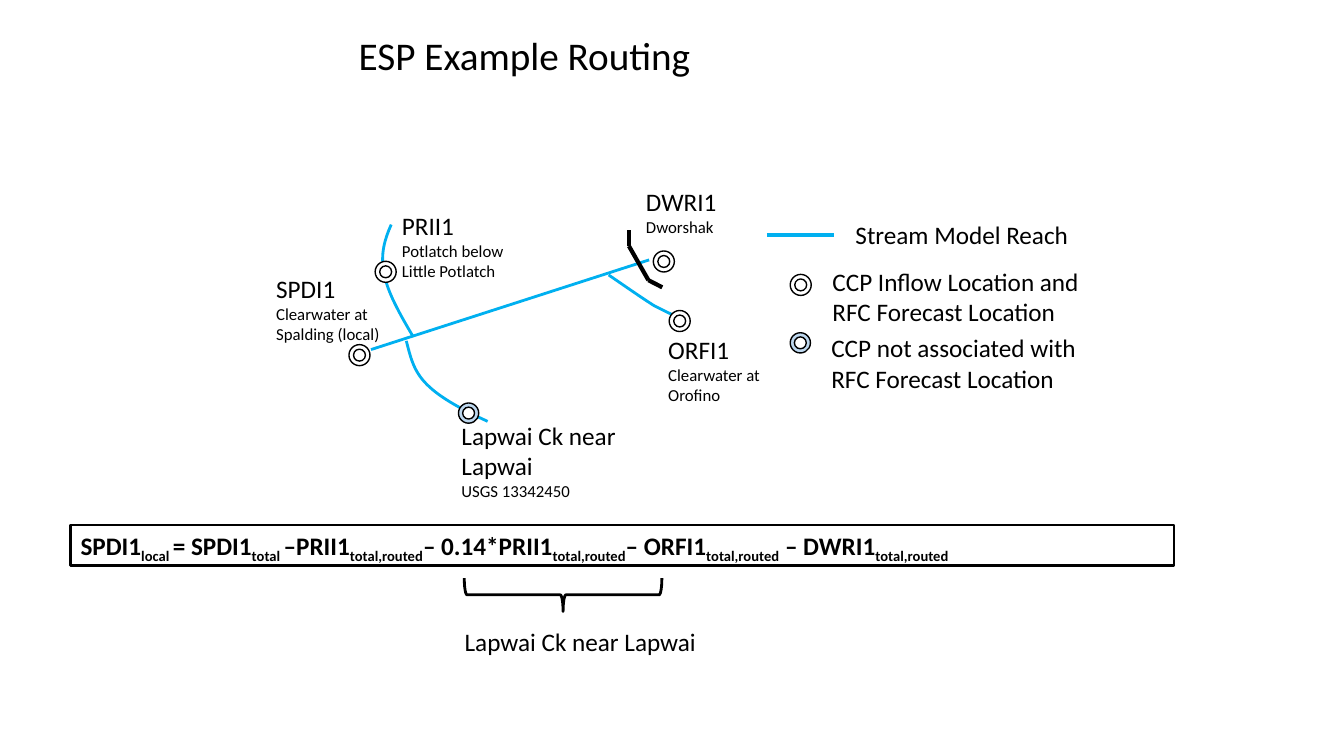
from itertools import pairwise

from pptx import Presentation
from pptx.dml.color import RGBColor
from pptx.enum.shapes import MSO_CONNECTOR, MSO_SHAPE
from pptx.enum.text import MSO_ANCHOR, MSO_AUTO_SIZE, PP_ALIGN
from pptx.oxml.ns import qn
from pptx.oxml.xmlchemy import OxmlElement
from pptx.util import Cm, Pt

# Content: all lengths in centimetres
FONT = "Calibri"
BLACK, WHITE, REACH_BLUE, PALE_BLUE = "000000", "FFFFFF", "00B0F0", "BDD7EE"

# Two points make a straight reach; more are a start and Bezier triples
REACHES = [
    [(16.36, 6.55), (9.35, 8.81)],
    [(10.41, 8.48), (10.08, 7.92), (9.75, 7.34), (9.68, 6.88),
     (9.58, 6.40), (9.70, 6.02), (9.86, 5.66)],
    [(15.34, 6.93), (15.75, 7.21), (16.15, 7.49), (16.48, 7.70),
     (16.81, 7.87), (17.04, 7.98), (17.30, 8.08)],
    [(12.29, 10.62), (11.68, 10.34), (11.10, 10.03), (10.77, 9.70),
     (10.41, 9.35), (10.34, 8.97), (10.24, 8.59)],
]
DAM = [(16.69, 7.24), (16.34, 7.06), (15.85, 6.20), (15.85, 5.79)]
LEGEND_REACH = [(19.33, 5.92), (21.03, 5.92)]

# (left, top, width, height), then (text, size) for each paragraph
LABELS = [
    ((8.79, 0.66, 12.9, 1.45), [("ESP Example Routing", 28)]),
    ((9.88, 5.18, 3.35, 2.06), [("PRII1", 18), ("Potlatch below Little Potlatch", 12)]),
    ((16.03, 4.57, 3.35, 1.55), [("DWRI1", 18), ("Dworshak", 12)]),
    ((16.59, 8.31, 3.35, 2.06), [("ORFI1", 18), ("Clearwater at Orofino", 12)]),
    ((6.71, 6.76, 3.35, 2.06), [("SPDI1", 18), ("Clearwater at Spalding (local)", 12)]),
    ((11.38, 10.46, 4.93, 2.31), [("Lapwai Ck near Lapwai", 18), ("USGS 13342450", 12)]),
    ((21.31, 5.41, 6.32, 1.02), [("Stream Model Reach", 18)]),
    ((20.73, 6.58, 6.86, 1.8), [("CCP Inflow Location and RFC Forecast Location", 18)]),
    ((20.70, 8.26, 6.86, 1.8), [("CCP not associated with RFC Forecast Location", 18)]),
    ((11.46, 15.65, 6.48, 1.02), [("Lapwai Ck near Lapwai", 18)]),
]

# Ring centres for each kind of location, with outer diameter
GAUGES = [
    (WHITE, 0.53, [(20.18, 7.18), (17.13, 8.09), (9.72, 6.85), (16.73, 6.59), (9.06, 8.95)]),
    (PALE_BLUE, 0.51, [(11.81, 10.41), (20.17, 8.64)]),
]
INNER_DIAMETER = 0.3

# Each term is followed by its subscript
EQUATION = [
    ("SPDI1", "local "), ("= SPDI1", "total "), ("–PRII1", "total,routed"),
    ("– 0.14*PRII1", "total,routed"), ("– ORFI1", "total,routed"),
    (" – DWRI1", "total,routed"),
]
EQUATION_BOX = (1.78, 13.23, 27.81, 1.02)
BRACE_BOX = (13.77, 12.50, 0.84, 4.98)


def color(value):
    return RGBColor.from_string(value)


def lengths(values):
    return [Cm(value) for value in values]


def style(shape, fill, line, width):
    shape.shadow.inherit = False
    if fill:
        shape.fill.solid()
        shape.fill.fore_color.rgb = color(fill)
    else:
        shape.fill.background()
    shape.line.color.rgb = color(line)
    shape.line.width = Pt(width)


def set_font(paragraph, size, bold=False):
    font = paragraph.font
    font.name, font.size, font.bold = FONT, Pt(size), bold
    font.color.rgb = color(BLACK)


def add_reach(page, points):
    start, *rest = [lengths(point) for point in points]
    builder = page.shapes.build_freeform(*start)
    builder.add_line_segments(rest, close=False)
    reach = builder.convert_to_shape()
    style(reach, WHITE, REACH_BLUE, 2)
    segments = list(reach._element.iter(qn("a:lnTo")))
    if len(segments) < 3:
        return
    # Regroup every three points as one Bezier segment
    for index in range(0, len(segments), 3):
        curve = OxmlElement("a:cubicBezTo")
        segments[index].addprevious(curve)
        for segment in segments[index:index + 3]:
            curve.append(segment[0])
            segment.getparent().remove(segment)


def add_lines(shapes, points, line, width):
    for start, end in pairwise(points):
        connector = shapes.add_connector(MSO_CONNECTOR.STRAIGHT, *lengths(start + end))
        connector.line.color.rgb = color(line)
        connector.line.width = Pt(width)
        connector._element.spPr.append(OxmlElement("a:effectLst"))


def add_label(page, frame, lines):
    box = page.shapes.add_textbox(*lengths(frame))
    text = box.text_frame
    text.word_wrap = True
    text.auto_size = MSO_AUTO_SIZE.SHAPE_TO_FIT_TEXT
    for index, (words, size) in enumerate(lines):
        para = text.add_paragraph() if index else text.paragraphs[0]
        para.text = words
        set_font(para, size)


def add_gauge(page, center, fill, outer):
    ring = page.shapes.add_group_shape()
    x, y = center
    for diameter, shade in ((outer, fill), (INNER_DIAMETER, WHITE)):
        frame = (x - diameter / 2, y - diameter / 2, diameter, diameter)
        circle = ring.shapes.add_shape(MSO_SHAPE.OVAL, *lengths(frame))
        style(circle, shade, BLACK, 1)


def add_equation(page):
    box = page.shapes.add_shape(MSO_SHAPE.RECTANGLE, *lengths(EQUATION_BOX))
    style(box, None, BLACK, 2)
    text = box.text_frame
    text.word_wrap = True
    text.auto_size = MSO_AUTO_SIZE.SHAPE_TO_FIT_TEXT
    text.vertical_anchor = MSO_ANCHOR.TOP
    para = text.paragraphs[0]
    para.alignment = PP_ALIGN.LEFT
    set_font(para, 18, bold=True)
    for term, subscript in EQUATION:
        para.add_run().text = term
        span = para.add_run()
        span.text = subscript
        span.font._element.set("baseline", "-25000")


def main():
    deck = Presentation()
    deck.slide_width, deck.slide_height = Cm(33.87), Cm(19.05)
    page = deck.slides.add_slide(deck.slide_layouts[6])

    # River network and labels
    for points in REACHES:
        add_reach(page, points)
    for frame, lines in LABELS:
        add_label(page, frame, lines)

    # Dam, legend line and gauges
    add_lines(page.shapes.add_group_shape().shapes, DAM, BLACK, 3)
    add_lines(page.shapes, LEGEND_REACH, REACH_BLUE, 2.25)
    for fill, outer, centers in GAUGES:
        for center in centers:
            add_gauge(page, center, fill, outer)

    # Routing equation with its brace
    add_equation(page)
    brace = page.shapes.add_shape(MSO_SHAPE.RIGHT_BRACE, *lengths(BRACE_BOX))
    brace.rotation = 90
    style(brace, None, BLACK, 2)

    deck.save("out.pptx")


if __name__ == "__main__":
    main()
